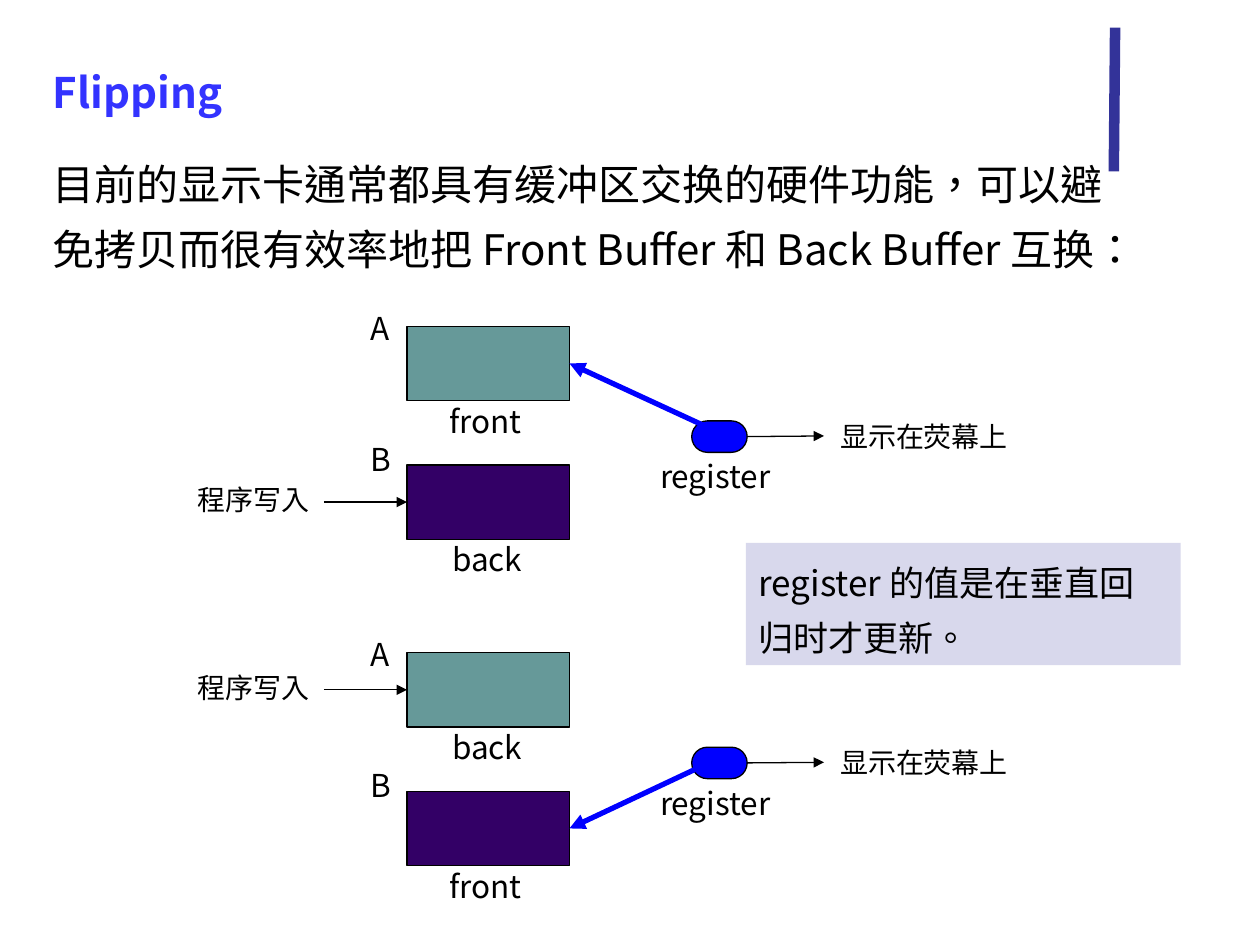
from lxml import etree
from pptx import Presentation
from pptx import util as u
from pptx.dml.color import RGBColor
from pptx.enum import lang, shapes, text
from pptx.oxml.ns import qn

FONT = "Noto Sans CJK SC"
COLORS = {"bar": "333399", "title": "3333FF", "ink": "000000", "A": "669999",
          "B": "330066", "register": "0000FF", "note": "D8D8EC"}

TITLE = "Flipping"
INTRO = "目前的显示卡通常都具有缓冲区交换的硬件功能，可以避免拷贝而很有效率地把 Front Buffer 和 Back Buffer 互换："
NOTE = "register 的值是在垂直回归时才更新。"
WRITE, SHOW, REGISTER = "程序写入", "显示在荧幕上", "register"
STATES = [{"A": "front", "B": "back"}, {"A": "back", "B": "front"}]
ROLE_BOXES = {"front": (3.47, 0.95), "back": (3.49, 0.8)}

FIRST_TOP, STATE_STEP, BUFFER_STEP = 2.59, 2.59, 1.1
BUFFER_LEFT, BUFFER_W, BUFFER_H = 3.23, 1.29, 0.59
TAG_RISE = {"A": 0.19, "B": 0.25}

deck = Presentation()
deck.slide_width, deck.slide_height = u.Inches(10), u.Inches(7.5)
slide = deck.slides.add_slide(deck.slide_layouts[6])


def color(name):
    return RGBColor.from_string(COLORS[name])


def write(shape, lines, size, wrap=True, spacing=None, gap=0):
    frame = shape.text_frame
    frame.word_wrap = wrap
    frame.auto_size = text.MSO_AUTO_SIZE.SHAPE_TO_FIT_TEXT
    frame.vertical_anchor = text.MSO_ANCHOR.TOP
    for i, (words, ink, bold) in enumerate(lines):
        para = frame.add_paragraph() if i else frame.paragraphs[0]
        para.alignment = text.PP_ALIGN.LEFT
        if spacing:
            para.line_spacing = spacing
        if i:
            para.space_before = u.Pt(gap)
        run = para.add_run()
        run.text = words
        font = run.font
        font.name, font.size, font.bold = FONT, u.Pt(size), bold
        font.color.rgb = color(ink)
        font.language_id = lang.MSO_LANGUAGE_ID.TRADITIONAL_CHINESE
        latin = run._r.rPr.find(qn("a:latin"))
        east_asian = etree.Element(qn("a:ea"), typeface=FONT)
        latin.addnext(east_asian)


def label(words, left, top, width, height=0.4, size=18, wrap=False):
    box = slide.shapes.add_textbox(*map(u.Inches, (left, top, width, height)))
    write(box, [(words, "ink", False)], size, wrap)


def block(kind, left, top, width, height, fill, outlined=True):
    shape = slide.shapes.add_shape(kind, *map(u.Inches, (left, top, width, height)))
    shape.shadow.inherit = False
    shape.fill.solid()
    shape.fill.fore_color.rgb = color(fill)
    if outlined:
        shape.line.color.rgb = color("ink")
        shape.line.width = u.Pt(0.75)
    else:
        shape.line.fill.background()
    return shape


def line(start, end, ink="ink", width=0.75, arrow=True):
    link = slide.shapes.add_connector(shapes.MSO_CONNECTOR.STRAIGHT,
                                      *map(u.Inches, (*start, *end)))
    link.line.color.rgb = color(ink)
    link.line.width = u.Pt(width)
    if arrow:
        etree.SubElement(link.line._get_or_add_ln(), qn("a:tailEnd"), type="triangle")
    etree.SubElement(link._element.spPr, qn("a:effectLst"))
    return link


def draw_state(roles, top):
    for i, (tag, role) in enumerate(roles.items()):
        y = top + i * BUFFER_STEP
        middle = y + BUFFER_H / 2
        buffer = block(shapes.MSO_SHAPE.RECTANGLE, BUFFER_LEFT, y, BUFFER_W, BUFFER_H, tag)
        role_left, role_width = ROLE_BOXES[role]
        label(role, role_left, y + 0.55, role_width)
        label(tag, 2.84, y - TAG_RISE[tag], 0.35)
        if role == "front":
            front, front_middle = buffer, middle
        else:
            writing = line((2.57, middle), (BUFFER_LEFT, middle))
            writing.end_connect(buffer, 1)
            label(WRITE, 1.47, y + 0.09, 1.18, 0.37, 16, True)

    register = block(shapes.MSO_SHAPE.ROUNDED_RECTANGLE, 5.49, top + 0.75, 0.44, 0.25, "register")
    register.adjustments[0] = 0.5
    showing = line((5.93, top + 0.87), (6.54, top + 0.87))
    showing.begin_connect(register, 3)
    label(SHOW, 6.57, top + 0.69, 1.55, 0.37, 16, True)
    pointer = line((5.7, top + 0.84), (BUFFER_LEFT + BUFFER_W, front_middle), "register", 3)
    pointer.end_connect(front, 3)
    label(REGISTER, 5.14, top + 0.99, 1.4)


line((8.85, 0.22), (8.84, 1.36), "bar", 6, arrow=False)
intro_box = slide.shapes.add_textbox(*map(u.Inches, (0.32, 0.36, 8.85, 2.39)))
write(intro_box, [(TITLE, "title", True), (INTRO, "ink", False)], 24, spacing=1.3, gap=15)

for n, roles in enumerate(STATES):
    draw_state(roles, FIRST_TOP + n * STATE_STEP)

note_box = block(shapes.MSO_SHAPE.RECTANGLE, 5.92, 4.31, 3.45, 0.97, "note", outlined=False)
write(note_box, [(NOTE, "ink", False)], 20, spacing=1.3)

deck.save("out.pptx")
